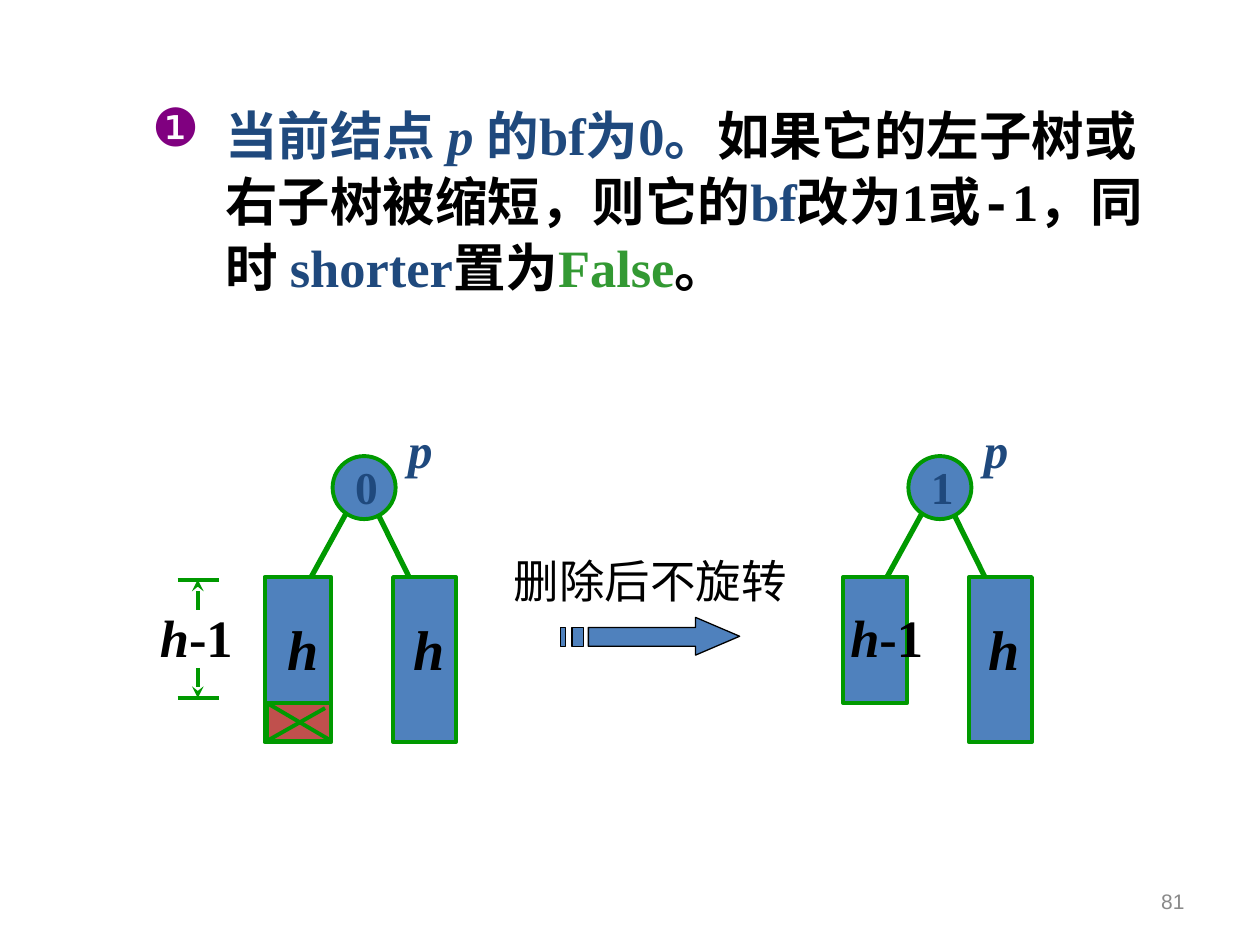
from lxml import etree
from pptx import Presentation
from pptx.dml.color import RGBColor
from pptx.enum.shapes import MSO_CONNECTOR, MSO_SHAPE
from pptx.enum.text import MSO_ANCHOR, MSO_AUTO_SIZE, PP_ALIGN
from pptx.oxml.ns import qn
from pptx.util import Inches, Pt

COLORS = {
    "blue": "4F81BD", "red": "C0504D", "green": "009900", "navy": "1F497D",
    "black": "000000", "gray": "898989", "purple": "800080", "leaf": "339933",
}
FONT = "Times New Roman"
NODE_SIZE = 0.5
TREE_HEIGHT = 1.31
REMOVED_HEIGHT = 0.3


def rgb(name):
    return RGBColor.from_string(COLORS[name])


def add_text(shapes, box, runs, size=30, color="black", bold=True, italic=False,
             font=FONT, align=None, anchor=None, wrap=True, grow=True):
    """Add a one-paragraph text box; runs is a string or (text, overrides) pairs."""
    tf = shapes.add_textbox(*map(Inches, box)).text_frame
    tf.word_wrap = wrap
    tf.auto_size = MSO_AUTO_SIZE.SHAPE_TO_FIT_TEXT if grow else MSO_AUTO_SIZE.NONE
    if anchor is not None:
        tf.vertical_anchor = anchor
    p = tf.paragraphs[0]
    if align is not None:
        p.alignment = align
    for text, extra in [(runs, {})] if isinstance(runs, str) else runs:
        r = p.add_run()
        r.text = text
        r.font.size = Pt(size)
        r.font.bold = bold
        r.font.italic = extra.get("italic", italic)
        r.font.name = extra.get("font", font)
        r.font.color.rgb = rgb(extra.get("color", color))
    return p


def style(sp, fill, line="green", width=2.25):
    sp.shadow.inherit = False
    sp.fill.solid()
    sp.fill.fore_color.rgb = rgb(fill)
    sp.line.color.rgb = rgb(line)
    sp.line.width = Pt(width)


def add_box(shapes, box, fill="blue", kind=MSO_SHAPE.RECTANGLE):
    style(shapes.add_shape(kind, *map(Inches, box)), fill)


def add_line(shapes, start, end, width=2.25, arrow=False):
    line = shapes.add_connector(MSO_CONNECTOR.STRAIGHT, *map(Inches, (*start, *end)))
    line.line.color.rgb = rgb("green")
    line.line.width = Pt(width)
    if arrow:
        etree.SubElement(line.line._get_or_add_ln(), qn("a:tailEnd"), type="stealth")
    etree.SubElement(line._element.spPr, qn("a:effectLst"))


def add_rule(shapes, left, top, width, height):
    p = add_text(shapes, (left, top, width, height), [
        ("当前结点 ", {}), ("p ", {"italic": True}), ("的bf为0。", {}),
        ("如果它的左子树或右子树被缩短，则它的", {"color": "black"}),
        ("bf", {}), ("改为1或", {"color": "black"}),
        ("-", {"color": "black", "font": "Courier New"}),
        ("1，同时 ", {"color": "black"}), ("shorter", {}),
        ("置为", {"color": "black"}), ("False", {"color": "leaf"}),
        ("。", {"color": "black"}),
    ], color="navy", grow=False)
    p.line_spacing = 1.05
    pPr = p._p.get_or_add_pPr()
    pPr.set("marL", str(Inches(1.08)))
    pPr.set("indent", str(Inches(-0.58)))
    bullet_color = etree.SubElement(pPr, qn("a:buClr"))
    etree.SubElement(bullet_color, qn("a:srgbClr"), val=COLORS["purple"])
    etree.SubElement(pPr, qn("a:buChar"), char="❶")


def add_full_label(shapes, left, top):
    add_text(shapes, (left, top, 0.42, 0.64), "h", size=32, italic=True)


def add_short_label(shapes, left, top):
    add_text(shapes, (left, top, 0.83, 0.6), [("h", {"italic": True}), ("-1", {})])


def add_tree(shapes, left, top, balance, left_width, left_height):
    """Draw node p over two subtrees; the left one ends at a fixed right edge."""
    node_x, node_y, sub_y = left + 0.54, top + 0.34, top + 1.3
    add_text(shapes, (left + 1.04, top, 0.52, 0.57), "p", size=28,
             color="navy", italic=True)
    add_line(shapes, (left + 0.88, top + 0.76), (left + 1.29, top + 1.59), width=3)
    add_line(shapes, (left + 0.71, top + 0.68), (left + 0.21, top + 1.59), width=3)
    add_box(shapes, (node_x, node_y, NODE_SIZE, NODE_SIZE), kind=MSO_SHAPE.OVAL)
    add_box(shapes, (left + 0.53 - left_width, sub_y, left_width, left_height))
    add_box(shapes, (left + 1.02, sub_y, 0.5, TREE_HEIGHT))
    add_text(shapes, (left + 0.62, top + 0.31, 0.58, 0.54), balance, size=26,
             color="navy")
    add_full_label(shapes, left + 1.08, top + 1.55)


def add_removed_part(shapes, left, top, width, height):
    right, bottom = left + width, top + height
    add_box(shapes, (left, top, width, height), fill="red")
    add_line(shapes, (right - 0.05, top + 0.04), (left, bottom))
    add_line(shapes, (left, top), (right, bottom))


def add_height_mark(shapes, left, top, height):
    """Draw the h-1 dimension between two end bars."""
    middle, bottom = left + 0.4, top + height
    add_short_label(shapes, left, top + 0.15)
    for y, inward in ((top, 0.24), (bottom, -0.24)):
        add_line(shapes, (middle, y + inward), (middle, y), arrow=True)
        add_line(shapes, (middle - 0.16, y), (middle + 0.17, y))


def add_step_arrow(shapes, left, top, width, height):
    right, middle, bottom = left + width, top + height / 2, top + height
    head, bar_top, bar_bottom = right - 0.35, top + 0.08, bottom - 0.07

    def bar(x1, x2):
        return [(x1, bar_top), (x1, bar_bottom), (x2, bar_bottom), (x2, bar_top)]

    outlines = [
        [(head, top), (head, bar_top), (left + 0.22, bar_top),
         (left + 0.22, bar_bottom), (head, bar_bottom), (head, bottom),
         (right, middle)],
        bar(left + 0.09, left + 0.18),
        bar(left, left + 0.04),
    ]
    builder = None
    for outline in outlines:
        points = [(Inches(x), Inches(y)) for x, y in outline]
        if builder is None:
            builder = shapes.build_freeform(*points[0])
        else:
            builder.move_to(*points[0])
        builder.add_line_segments(points[1:], close=True)
    style(builder.convert_to_shape(), "blue", line="black", width=0.75)


def add_step(shapes, left, top):
    add_step_arrow(shapes, left + 0.47, top + 0.56, 1.42, 0.3)
    add_text(shapes, (left, top, 2.37, 0.54), "删除后不旋转", size=26,
             bold=False, wrap=False)


def add_before(shapes, left, top):
    add_tree(shapes, left, top, "0", 0.53, TREE_HEIGHT)
    add_removed_part(shapes, left + 0.02, top + 2.3, 0.51, REMOVED_HEIGHT)
    add_full_label(shapes, left + 0.08, top + 1.55)
    add_height_mark(shapes, left - 0.93, top + 1.32, 0.94)


def add_after(shapes, left, top):
    add_tree(shapes, left, top, "1", 0.51, 1)
    add_short_label(shapes, left - 0.02, top + 1.47)


def main():
    prs = Presentation()
    prs.slide_width, prs.slide_height = Inches(10), Inches(7.5)
    shapes = prs.slides.add_slide(prs.slide_layouts[6]).shapes
    add_text(shapes, (7.17, 6.95, 2.33, 0.4), "81", size=12, color="gray",
             bold=False, font="Arial", align=PP_ALIGN.RIGHT,
             anchor=MSO_ANCHOR.MIDDLE, grow=False)
    add_step(shapes, 3.98, 4.34)
    add_before(shapes.add_group_shape().shapes, 2.1, 3.28)
    add_after(shapes.add_group_shape().shapes, 6.67, 3.28)
    add_rule(shapes, 0.61, 0.74, 8.68, 2.18)
    prs.save("out.pptx")


if __name__ == "__main__":
    main()
